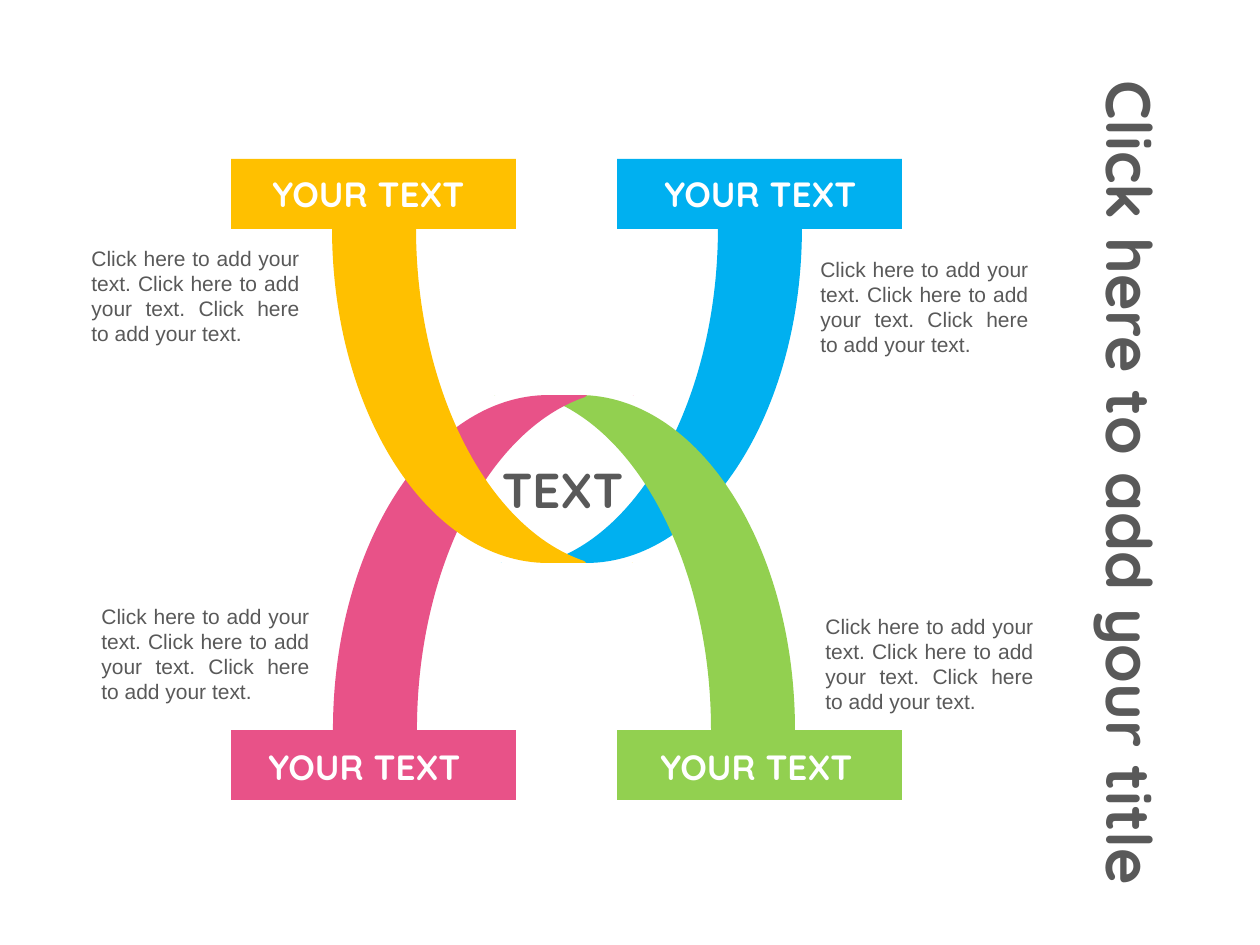
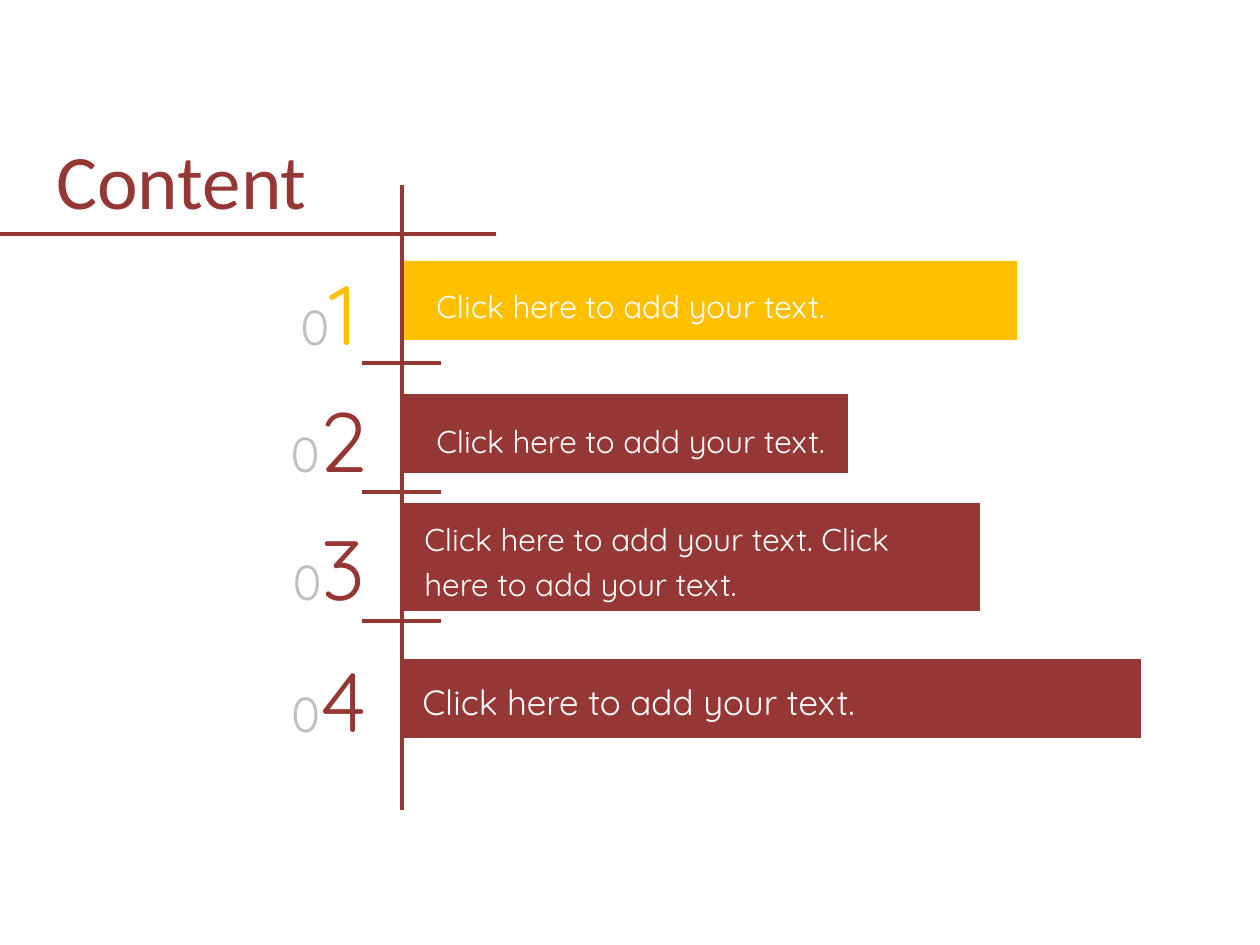
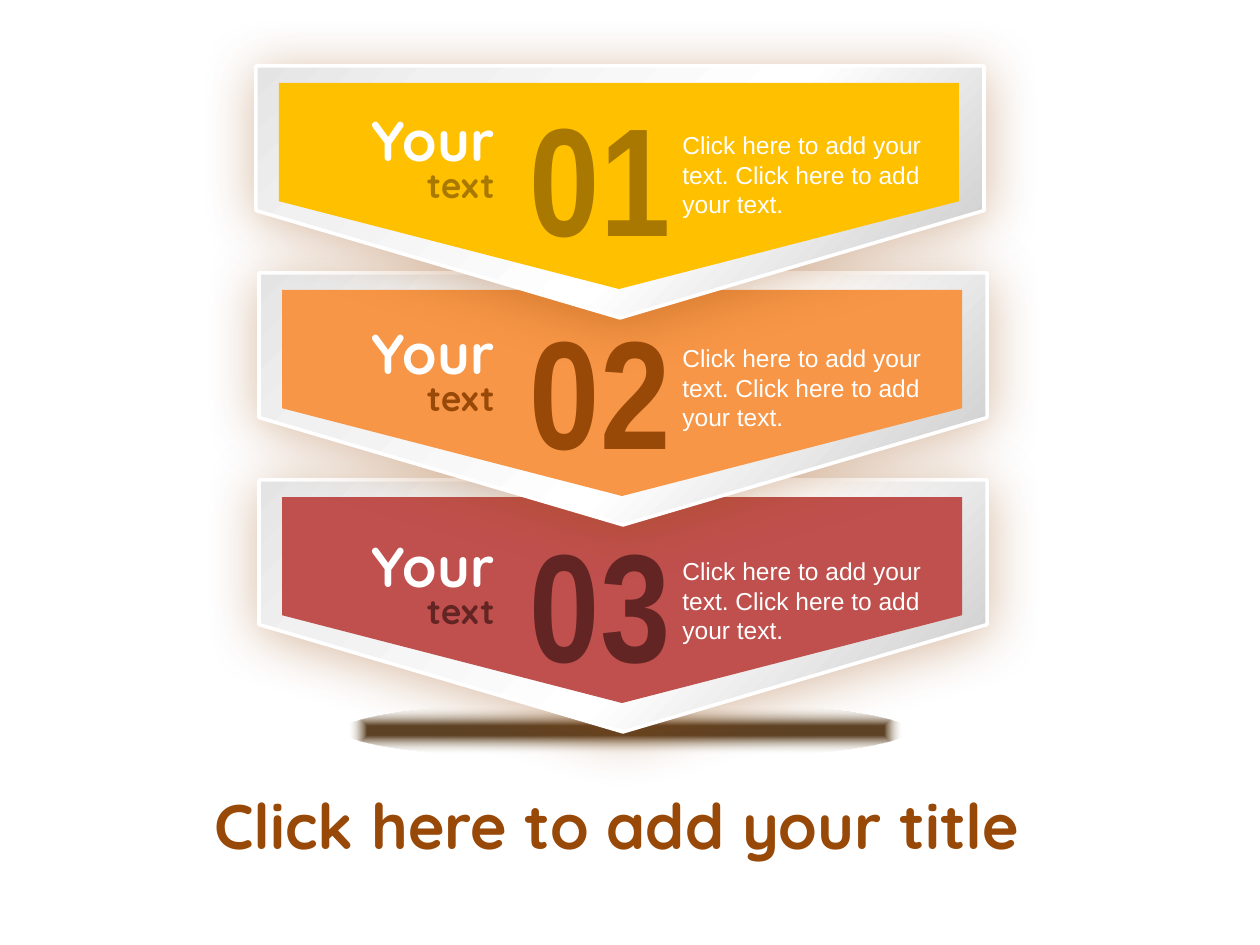
from lxml import etree
from pptx import Presentation
from pptx.dml.color import RGBColor
from pptx.enum import shapes, text
from pptx.oxml import parse_xml
from pptx.oxml.ns import nsdecls, qn
from pptx.util import Pt

PX = 914400 / 126
HEX = dict(white="FFFFFF", gray="595959", pale="BFBFBF", gold="FFC000", blue="00B0F0",
           green="92D050", pink="E85288", wine="953735", orange="F79646", red="C0504D",
           ochre="A87800", brown="984807", maroon="632523", earth="5D4225", sand="EEECE1",
           steel="CCCCCC", mist="F1F1F1", ash="E4E4E4")
SANS, ROUND = "Arial", "Quicksand"
LEFT, MID, RIGHT, JUST = (text.PP_ALIGN.LEFT, text.PP_ALIGN.CENTER,
                          text.PP_ALIGN.RIGHT, text.PP_ALIGN.JUSTIFY)
CLICK = "Click here to add your text."
TITLE = "Click here to add your title"

# Slide 1: colour, arm edge and mouth, directions, bar corner, label corner, note corner
ARMS = [
    ("blue", (802, 228), (-1, 1), (617, 159), (635, 174), (808, 250)),
    ("green", (795, 730), (-1, -1), (617, 730), (631, 747), (813, 607)),
    ("pink", (333, 730), (1, -1), (231, 730), (239, 747), (89, 597)),
    ("gold", (332, 228), (1, 1), (231, 159), (243, 174), (79, 239)),
]
# Arm outline measured inward from its outer edge and along from its mouth;
# three points from each index in BENDS make one curve
OUTLINE = [(0, 0), (0, 185), (97, 335), (216, 335), (254, 335), (252, 333),
           (155, 300), (84, 160), (84, 0)]
BENDS = (0, 5)
SPECK = [(301, 335), (300, 335)]
REACH = (301, 335)

# Slide 2: colour, bar (y, width, height), text box, size, align, wrap, wording, number top
ITEMS = [
    ("gold", (261, 615, 79), (412, 273, 446, 54), 18, MID, False, CLICK + " ", 235),
    ("wine", (394, 446, 79), (412, 408, 446, 54), 18, MID, False, CLICK + " ", 362),
    ("wine", (503, 578, 108), (412, 506, 546, 100), 18, LEFT, True, f"{CLICK} {CLICK}", 490),
    ("wine", (659, 739, 79), (410, 666, 493, 59), 20, LEFT, False, CLICK, 622),
]
AXIS = 402
RULES = [((AXIS, 185), (AXIS, 810)), ((0, 234), (496, 234))]
RULES += [((362, y), (441, y)) for y in range(363, 622, 129)]

# Slide 3: fill, dark tone, sideways shift
PLATES = [("gold", "ochre", -3), ("orange", "brown", 0), ("red", "maroon", 0)]
METAL = [(6, "steel", 100), (43, "white", 100), (80, "mist", 100), (100, "ash", 100)]
SHADE = [(16, "earth", 100), (78, "sand", 0)]


def emu(*vals):
    return [round(v * PX) for v in vals]


def rgb(name):
    return RGBColor.from_string(HEX[name])


def paint(shape, color):
    shape.shadow.inherit = False
    shape.fill.solid()
    shape.fill.fore_color.rgb = rgb(color)
    shape.line.fill.background()
    return shape


def draw(slide, kind, box, color):
    return paint(slide.shapes.add_shape(kind, *emu(*box)), color)


def put(slide, box, runs, face=ROUND, align=LEFT, bold=False, gap=None, wrap=True):
    """Add a text box; runs holds (words, size, colour)."""
    shape = slide.shapes.add_textbox(*emu(*box))
    frame = shape.text_frame
    frame.word_wrap = wrap
    para = frame.paragraphs[0]
    para.alignment, para.line_spacing = align, gap
    para.font.name, para.font.bold = face, bold
    for words, size, color in runs:
        run = para.add_run()
        run.text = words
        font = para.font if len(runs) == 1 else run.font
        font.size, font.color.rgb = Pt(size), rgb(color)
    return shape


def rule(slide, start, end):
    line = slide.shapes.add_connector(shapes.MSO_CONNECTOR.STRAIGHT, *emu(*start, *end))
    line.line.color.rgb, line.line.width = rgb("wine"), Pt(2.25)
    etree.SubElement(line._element.spPr, qn("a:effectLst"))


def blend(shape, stops, course):
    """Swap the solid fill for a gradient along the given course."""
    marks = "".join(
        f'<a:gs pos="{at * 1000}"><a:srgbClr val="{HEX[color]}">'
        f'<a:alpha val="{alpha * 1000}"/></a:srgbClr></a:gs>' for at, color, alpha in stops)
    old = shape._element.spPr.find(qn("a:solidFill"))
    old.getparent().replace(old, parse_xml(
        f'<a:gradFill {nsdecls("a")} rotWithShape="1"><a:gsLst>{marks}</a:gsLst>'
        f'{course}</a:gradFill>'))


def glow(shape):
    shape._element.spPr.find(qn("a:effectLst")).append(parse_xml(
        f'<a:outerShdw {nsdecls("a")} blurRad="{Pt(31)}" dist="{Pt(3)}" dir="5400000" '
        f'algn="t" rotWithShape="0"><a:srgbClr val="{HEX["brown"]}">'
        '<a:alpha val="37000"/></a:srgbClr></a:outerShdw>'))


def bend(shape, starts):
    """Turn each three line segments from the given indices into one curve."""
    legs = list(shape._element.spPr.iter(qn("a:lnTo")))
    for i in starts:
        curve = etree.Element(qn("a:cubicBezTo"))
        legs[i].addprevious(curve)
        for leg in legs[i:i + 3]:
            curve.append(leg[0])
            leg.getparent().remove(leg)


def arm(slide, color, edge, way):
    """Arm laid out sideways, then turned upright about its centre."""
    turn = way[0] * way[1]
    mid = [e + w * r / 2 for e, w, r in zip(edge, way, REACH)]

    def spot(point):
        dx, dy = (w * (v - r / 2) for w, v, r in zip(way, point, REACH))
        return emu(mid[0] + turn * dy, mid[1] - turn * dx)

    first, *rest = map(spot, OUTLINE)
    pen = slide.shapes.build_freeform(*first)
    pen.add_line_segments(rest, close=True)
    start, end = map(spot, SPECK)
    pen.move_to(*start)
    pen.add_line_segments([end], close=True)
    shape = paint(pen.convert_to_shape(), color)
    bend(shape, BENDS)
    shape.rotation = turn * 90 % 360


def plate(slide, box, color):
    """Pentagon pointing down that fills the box as seen."""
    x, y, w, h = box
    side = (x + (w - h) / 2, y + (h - w) / 2, h, w)
    shape = draw(slide, shapes.MSO_SHAPE.PENTAGON, side, color)
    shape.adjustments[0], shape.rotation = 0.426, 90
    return shape


def cross(slide):
    for color, edge, way, *_ in ARMS:
        arm(slide, color, edge, way)
    for color, _, _, bar, label, note in ARMS:
        draw(slide, shapes.MSO_SHAPE.RECTANGLE, (*bar, 285, 70), color)
        put(slide, (*label, 251, 47), [("YOUR TEXT", 20, "white")],
            align=MID, bold=True, gap=0.8)
        put(slide, (*note, 233, 115), [(" ".join([CLICK] * 3), 12, "gray")], SANS, JUST)
    put(slide, (483, 465, 159, 57), [("TEXT", 28, "gray")], align=MID, bold=True, gap=0.8)
    title = put(slide, (685, 438, 892, 89), [(TITLE, 36, "gray")], align=MID, bold=True)
    title.rotation = 90


def agenda(slide):
    for color, (y, w, h), *_ in ITEMS:
        draw(slide, shapes.MSO_SHAPE.RECTANGLE, (AXIS, y, w, h), color)
    put(slide, (44, 126, 456, 118), [("Content", 44, "wine")], "Calibri")
    for ends in RULES:
        rule(slide, *ends)
    for num, (color, _, box, size, align, wrap, words, top) in enumerate(ITEMS, 1):
        put(slide, box, [(words, size, "white")], align=align, gap=1.2, wrap=wrap)
        put(slide, (276, top, 106, 135), [("0", 28, "pale"), (str(num), 48, color)],
            align=MID, gap=1.2)


def stack(slide):
    base = draw(slide, shapes.MSO_SHAPE.OVAL, (343, 701, 565, 59), "earth")
    base.rotation = 180
    blend(base, SHADE, '<a:path path="shape"><a:fillToRect l="50000" t="50000" '
                       'r="50000" b="50000"/></a:path>')
    rows = list(enumerate(PLATES))
    for i, (color, _, shift) in reversed(rows):
        drop = 207 * i
        frame = plate(slide, (259 + shift, 66 + drop, 728, 252), "white")
        frame.line.color.rgb, frame.line.width = rgb("white"), Pt(2)
        blend(frame, METAL, '<a:lin ang="8100000" scaled="0"/>')
        glow(frame)
        plate(slide, (282 + shift, 83 + drop, 680, 206), color)
    for i, (_, dark, _) in rows:
        y = 112 + 213 * i
        put(slide, (491, y, 218, 163), [(f"0{i + 1}", 88, dark)], "Arial Narrow",
            MID, True, 0.8)
        put(slide, (322, y, 185, 101), [("Your ", 32, "white"), ("text", 20, dark)],
            align=RIGHT, bold=True, gap=0.8)
        put(slide, (670, y + 12, 266, 102), [(f"{CLICK} {CLICK}", 14, "white")], SANS)
    put(slide, (163, 780, 907, 89), [(TITLE, 36, "brown")], align=MID, bold=True)


def main():
    deck = Presentation()
    deck.slide_width, deck.slide_height = emu(1260, 945)
    for build in (cross, agenda, stack):
        build(deck.slides.add_slide(deck.slide_layouts[6]))
    deck.save("out.pptx")


if __name__ == "__main__":
    main()
